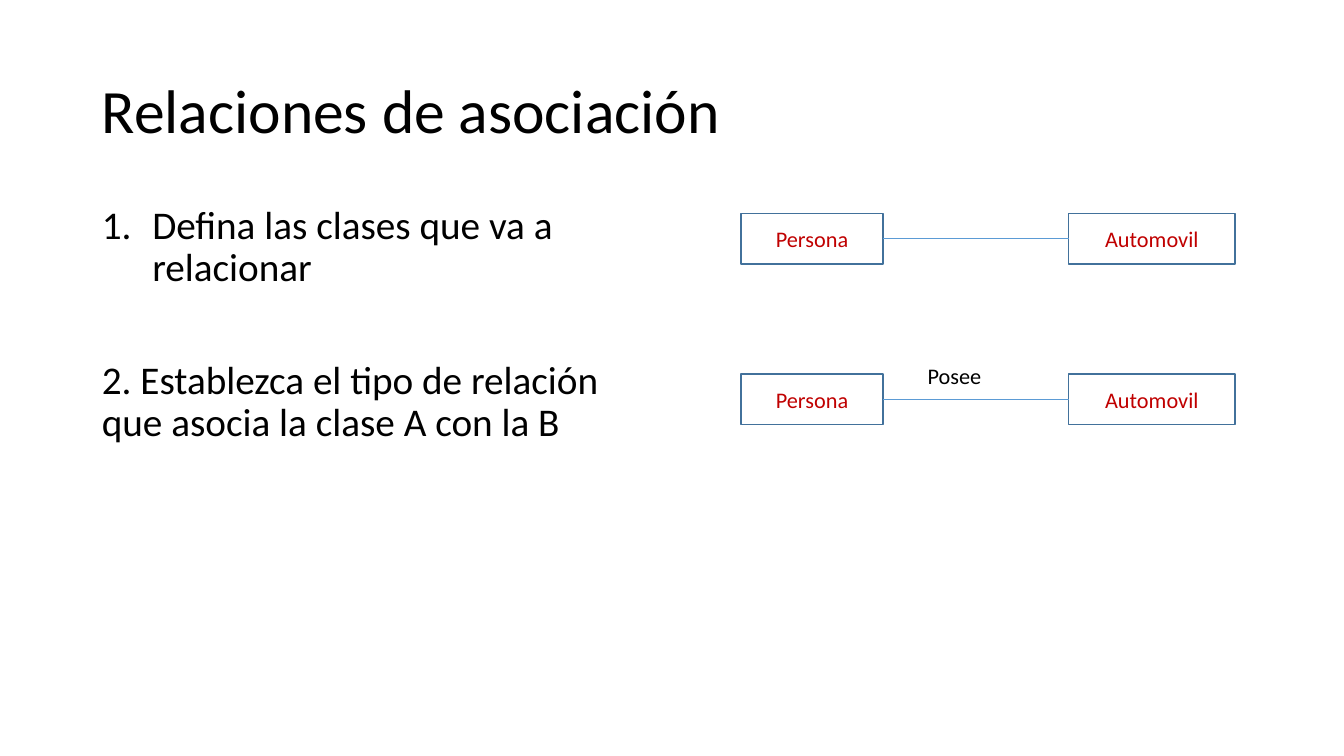
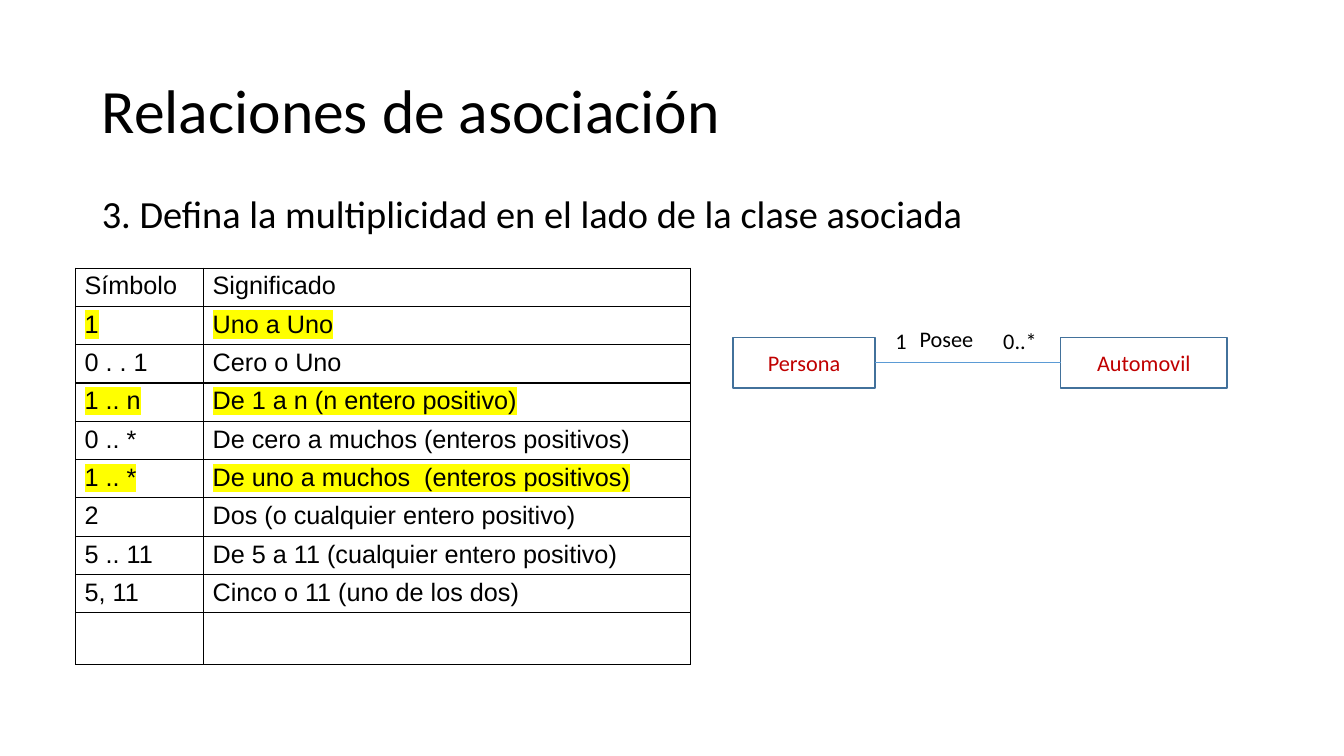
from lxml import etree
from pptx import Presentation
from pptx.dml.color import RGBColor
from pptx.enum.shapes import MSO_CONNECTOR, MSO_SHAPE
from pptx.enum.text import MSO_ANCHOR, PP_ALIGN
from pptx.oxml.ns import qn
from pptx.util import Inches, Pt

RECT, STRAIGHT = MSO_SHAPE.RECTANGLE, MSO_CONNECTOR.STRAIGHT
TOP, MIDDLE = MSO_ANCHOR.TOP, MSO_ANCHOR.MIDDLE
CENTER = PP_ALIGN.CENTER
BLACK, WHITE, RED = "000000", "FFFFFF", "C00000"
BORDER, LINK, YELLOW = "42719B", "5B9BD5", "FFFF00"
SITE_LEFT, SITE_RIGHT = 1, 3

# Content
TITLE = "Relaciones de asociación"
STEP_1 = "Defina las clases que va a relacionar"
STEP_2 = "2. Establezca el tipo de relación que asocia la clase A con la B"
STEP_3 = "3. Defina la multiplicidad en el lado de la clase asociada"
CLASSES = [("Persona", 0, 1.41), ("Automovil", 3.25, 1.65)]  # name, offset, width
POSEE = ("Posee", 1.76, -0.16, 0.72)  # text, offset x, offset y, width
MULTIPLICITY = [POSEE, ("0..*", 2.59, -0.14, 0.61), ("1", 1.52, -0.14, 0.29)]
SYMBOLS = [  # symbol, meaning, highlighted
    ("Símbolo", "Significado", False),
    ("1", "Uno a Uno", True),
    ("0 . . 1", "Cero o Uno", False),
    ("1 .. n", "De 1 a n (n entero positivo)", True),
    ("0 .. *", "De cero a muchos (enteros positivos)", False),
    ("1 .. *", "De uno a muchos  (enteros positivos)", True),
    ("2", "Dos (o cualquier entero positivo)", False),
    ("5 .. 11", "De 5 a 11 (cualquier entero positivo)", False),
    ("5, 11", "Cinco o 11 (uno de los dos)", False),
    ("", "", False),
]
COLUMNS, ROW, LAST_ROW = (1.27, 4.83), 0.37, 0.51


def rgb(color):
    return RGBColor.from_string(color)


def set_margins(box):
    box.margin_left = box.margin_right = Inches(0.09)
    box.margin_top = box.margin_bottom = Inches(0.04)


def add_run(p, text, size, color=BLACK, font="Calibri"):
    r = p.add_run()
    r.text = text
    r.font.size, r.font.name = Pt(size), font
    r.font.color.rgb = rgb(color)
    return r


def add_text(s, left, top, width, height, text, size, anchor=TOP, wrap=True):
    box = s.shapes.add_textbox(*map(Inches, (left, top, width, height)))
    tf = box.text_frame
    tf.word_wrap, tf.vertical_anchor = wrap, anchor
    set_margins(tf)
    add_run(tf.paragraphs[0], text, size)
    return tf


def add_slide(prs):
    s = prs.slides.add_slide(prs.slide_layouts[6])
    tf = add_text(s, 0.92, 0.4, 11.5, 1.45, TITLE, 44, MIDDLE)
    tf.paragraphs[0].line_spacing = 0.9
    return s


def add_diagram(s, left, top, labels=()):
    boxes = []
    for name, dx, width in CLASSES:
        sp = s.shapes.add_shape(RECT, *map(Inches, (left + dx, top, width, 0.5)))
        sp.shadow.inherit = False
        sp.fill.solid()
        sp.fill.fore_color.rgb = rgb(WHITE)
        sp.line.color.rgb, sp.line.width = rgb(BORDER), Pt(1)
        tf = sp.text_frame
        tf.vertical_anchor = MIDDLE
        set_margins(tf)
        p = tf.paragraphs[0]
        p.alignment = CENTER
        add_run(p, name, 15.9, RED)
        boxes.append(sp)
    link = s.shapes.add_connector(STRAIGHT, 0, 0, 0, 0)
    link.begin_connect(boxes[0], SITE_RIGHT)
    link.end_connect(boxes[1], SITE_LEFT)
    link.line.color.rgb, link.line.width = rgb(LINK), Pt(0.75)
    etree.SubElement(link._element.spPr, qn("a:effectLst"))
    for text, dx, dy, width in labels:
        add_text(s, left + dx, top + dy, width, 0.36, text, 15.9, wrap=False)


def number_paragraph(p):
    pPr = p._p.get_or_add_pPr()
    pPr.set("marL", str(Inches(0.5)))
    pPr.set("indent", str(-Inches(0.5)))
    etree.SubElement(pPr, qn("a:buFont"), typeface="+mj-lt")
    etree.SubElement(pPr, qn("a:buAutoNum"), type="arabicPeriod")


def highlight(r):
    mark = etree.Element(qn("a:highlight"))
    etree.SubElement(mark, qn("a:srgbClr"), val=YELLOW)
    r.font._element.find(qn("a:solidFill")).addnext(mark)


def format_cell(cell):
    set_margins(cell)
    tcPr = cell._tc.get_or_add_tcPr()
    for side in "LRTB":
        ln = etree.SubElement(tcPr, qn(f"a:ln{side}"), w=str(Pt(1)))
        fill = etree.SubElement(ln, qn("a:solidFill"))
        etree.SubElement(fill, qn("a:srgbClr"), val=BLACK)
    cell.fill.background()


def add_symbol_table(s, left, top):
    heights = [ROW] * (len(SYMBOLS) - 1) + [LAST_ROW]
    size = (left, top, sum(COLUMNS), sum(heights))
    table = s.shapes.add_table(len(SYMBOLS), len(COLUMNS), *map(Inches, size)).table
    table.first_row = table.horz_banding = False
    for column, width in zip(table.columns, COLUMNS):
        column.width = Inches(width)
    for row, height, (symbol, meaning, marked) in zip(table.rows, heights, SYMBOLS):
        row.height = Inches(height)
        for cell, text in zip(row.cells, (symbol, meaning)):
            format_cell(cell)
            if text:
                r = add_run(cell.text_frame.paragraphs[0], text, 18, font="Arial")
                if marked:
                    highlight(r)


def main():
    prs = Presentation()
    prs.slide_width, prs.slide_height = Inches(13.33), Inches(7.5)

    # Classes and type of relation
    s = add_slide(prs)
    tf = add_text(s, 0.92, 2, 5.58, 4.76, STEP_1, 28)
    number_paragraph(tf.paragraphs[0])
    p = tf.add_paragraph()
    add_run(p, STEP_2, 28)
    p.space_before = Pt(50)
    for p in tf.paragraphs:
        p.line_spacing = 0.9
    add_diagram(s, 7.35, 2.12)
    add_diagram(s, 7.35, 3.71, [POSEE])

    # Multiplicity
    s = add_slide(prs)
    add_text(s, 0.92, 1.85, 9.76, 0.55, STEP_3, 27.4)
    add_symbol_table(s, 0.75, 2.66)
    add_diagram(s, 7.27, 3.35, MULTIPLICITY)

    prs.save("out.pptx")


if __name__ == "__main__":
    main()
